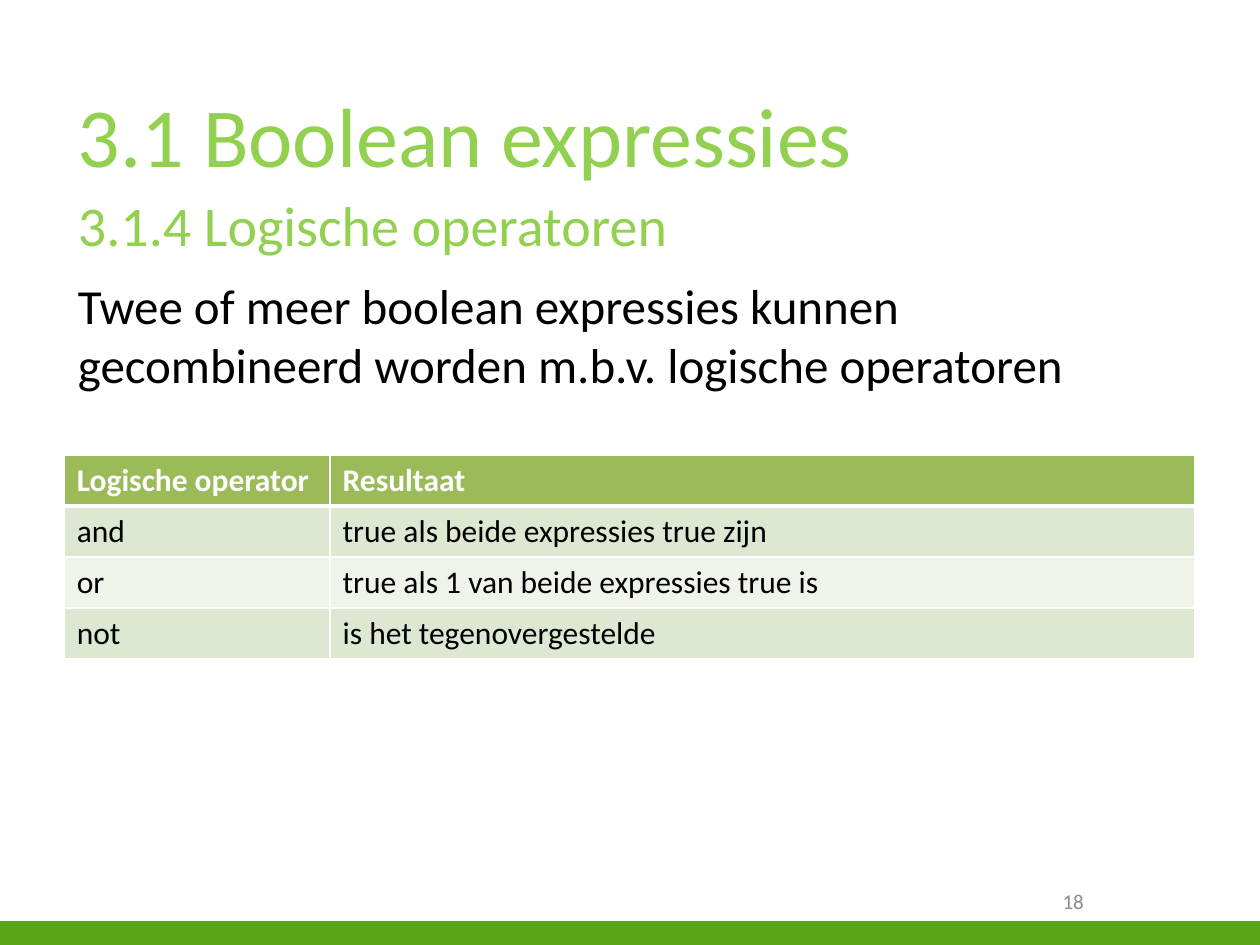
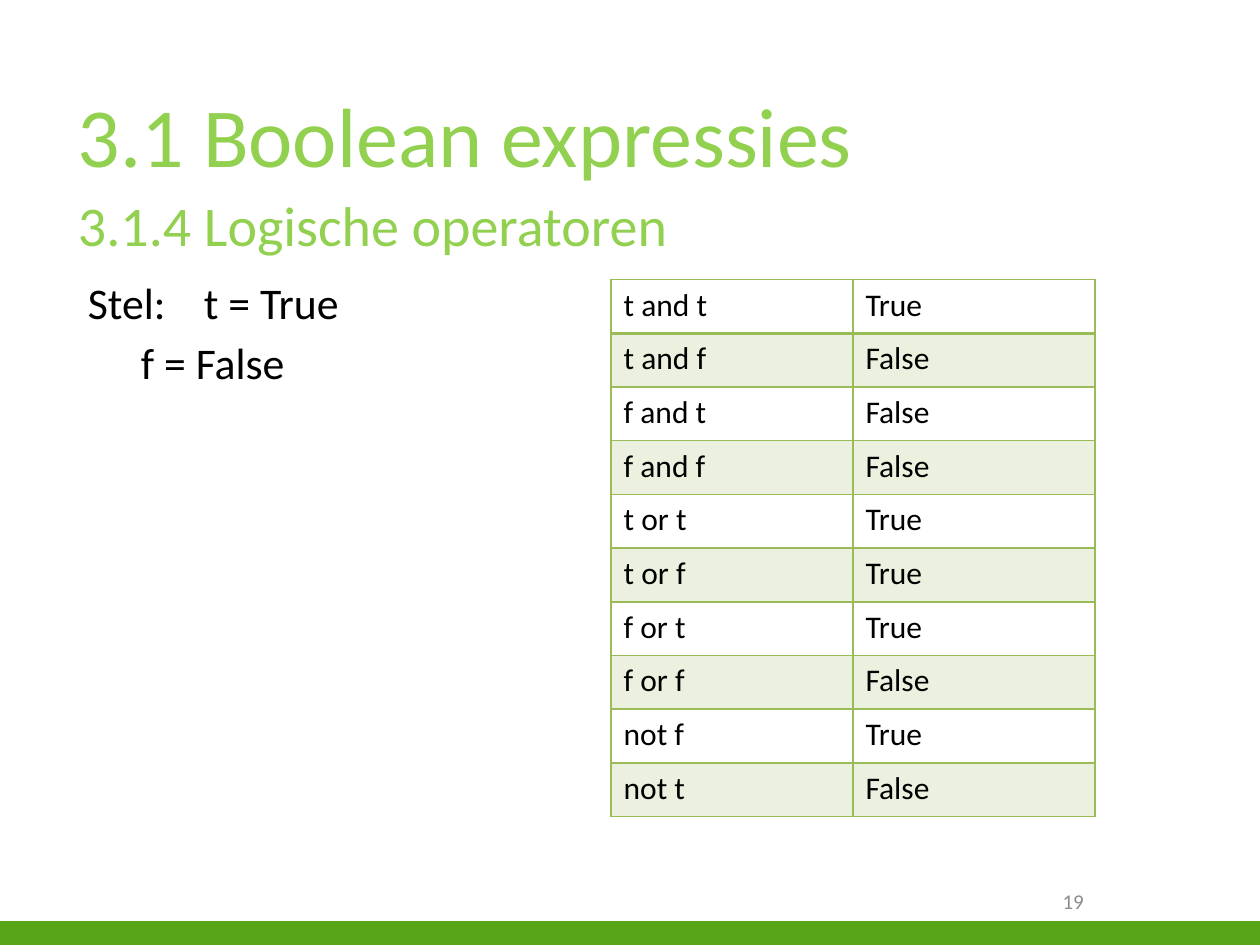
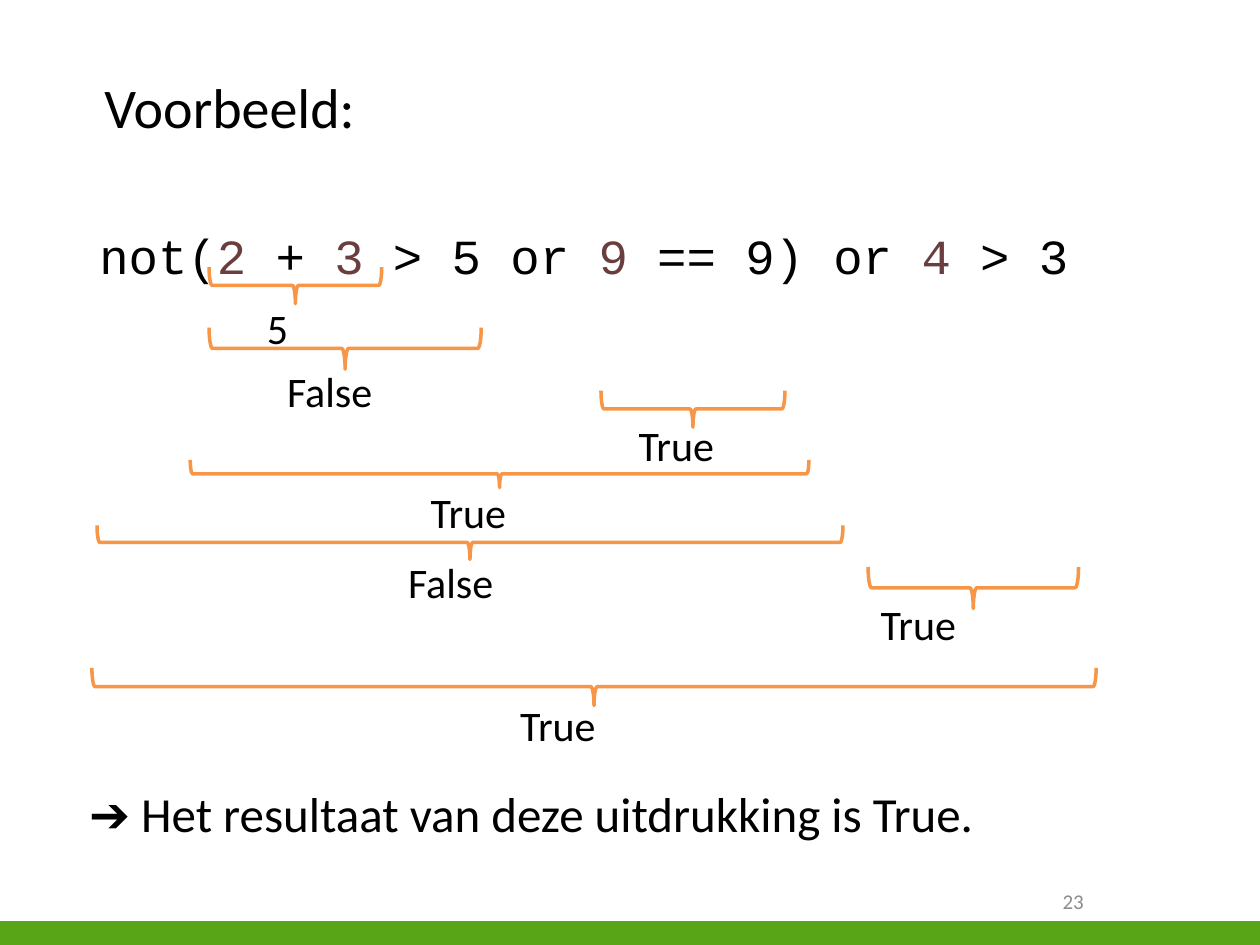
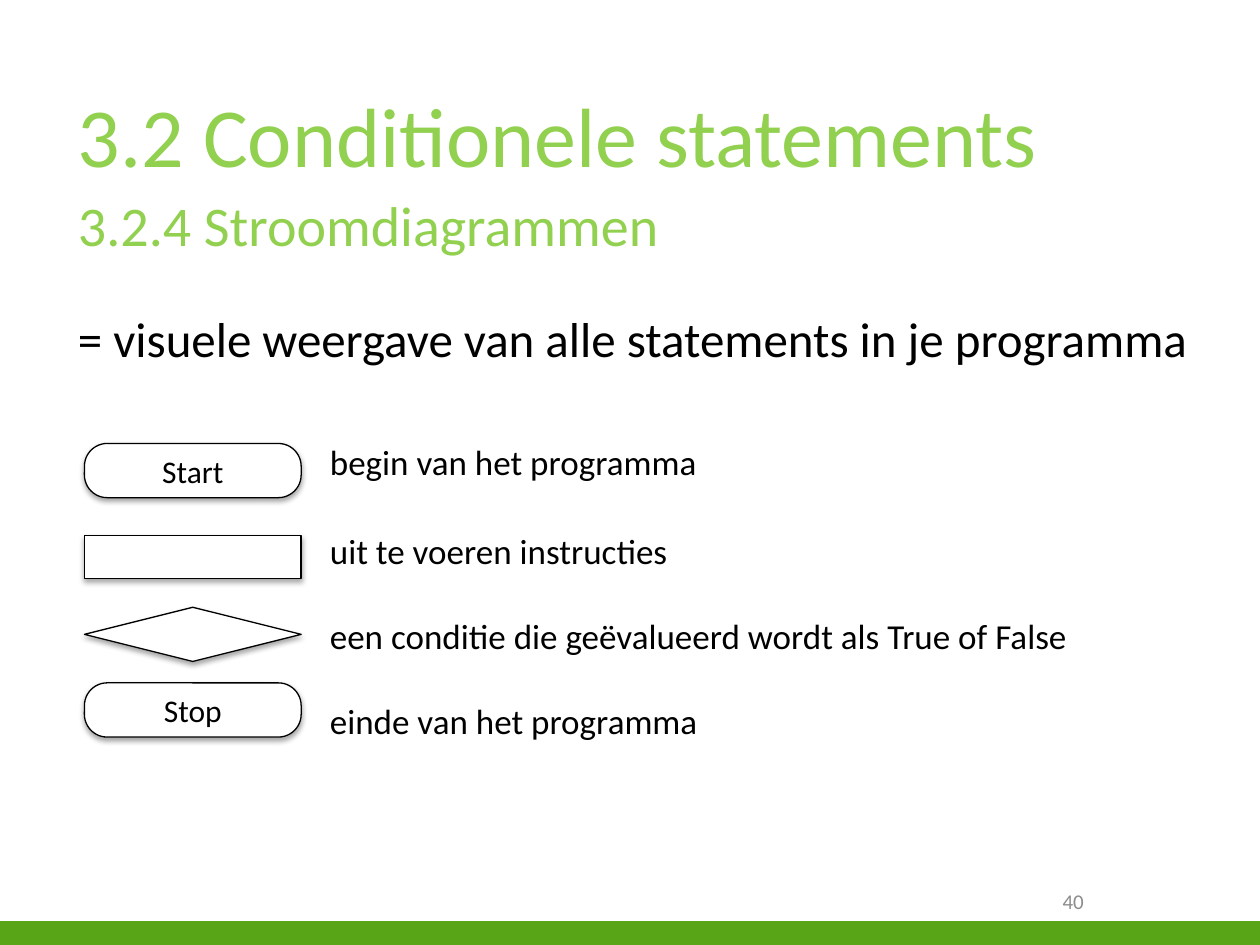
"""Builds four lesson slides on boolean expressions and flow charts."""
from dataclasses import dataclass
from typing import Optional, Sequence

from lxml import etree
from pptx import Presentation
from pptx.dml.color import RGBColor
from pptx.enum import shapes, text
from pptx.oxml import ns
from pptx.util import Inches, Pt

BLACK = RGBColor(0x00, 0x00, 0x00)
WHITE = RGBColor(0xFF, 0xFF, 0xFF)
GREY = RGBColor(0x8C, 0x8C, 0x8C)
BAND = RGBColor(0x58, 0xA6, 0x18)
TITLE = RGBColor(0x92, 0xD0, 0x50)
OLIVE = RGBColor(0x9B, 0xBB, 0x59)
OLIVE_MID = RGBColor(0xDE, 0xE7, 0xD1)
OLIVE_PALE = RGBColor(0xEF, 0xF3, 0xEA)
OLIVE_TINT = RGBColor(0xEB, 0xF1, 0xDE)
ORANGE = RGBColor(0xF7, 0x96, 0x46)
NUMBER = RGBColor(0x6A, 0x3E, 0x3E)

SHAPE = shapes.MSO_SHAPE
ALIGN = text.PP_ALIGN
ANCHOR = text.MSO_ANCHOR
PARA_GAP = 4


@dataclass(frozen=True)
class Box:
    """A place on the slide in inches."""
    x: float
    y: float
    w: float
    h: float

    def emu(self) -> tuple:
        """Return left, top, width and height as lengths."""
        return Inches(self.x), Inches(self.y), Inches(self.w), Inches(self.h)


@dataclass(frozen=True)
class Step:
    """A brace under part of the expression, with its value below."""
    brace: Box
    value: str
    label: Box


@dataclass(frozen=True)
class Symbol:
    """A flow chart symbol."""
    kind: SHAPE
    y: float
    h: float
    caption: str = ""


@dataclass(frozen=True)
class TableLook:
    """Fills and borders of a table."""
    header: Optional[RGBColor]
    bands: tuple
    line: RGBColor
    header_line: float
    header_text: RGBColor = BLACK
    header_bold: bool = False


FILLED = TableLook(OLIVE, (OLIVE_MID, OLIVE_PALE), WHITE, 3, WHITE, True)
OUTLINED = TableLook(None, (OLIVE_TINT, None), OLIVE, 2)

OPERATORS = [
    ("Logische operator", "Resultaat"),
    ("and", "true als beide expressies true zijn"),
    ("or", "true als 1 van beide expressies true is"),
    ("not", "is het tegenovergestelde"),
]
TRUTHS = [
    ("t and t", "True"), ("t and f", "False"), ("f and t", "False"), ("f and f", "False"),
    ("t or t", "True"), ("t or f", "True"), ("f or t", "True"), ("f or f", "False"),
    ("not f", "True"), ("not t", "False"),
]
EXPRESSION = ["not(", "2", " + ", "3", " > 5 or ", "9", " == 9) or ", "4", " > 3"]
STEPS = [
    Step(Box(1.66, 2.12, 1.37, 0.29), "5", Box(2.02, 2.35, 0.35, 0.5)),
    Step(Box(1.66, 2.6, 2.16, 0.33), "False", Box(2.18, 2.85, 1, 0.5)),
    Step(Box(4.77, 3.1, 1.46, 0.29), "True", Box(4.97, 3.28, 0.85, 0.5)),
    Step(Box(1.51, 3.65, 4.91, 0.22), "True", Box(3.32, 3.81, 1, 0.5)),
    Step(Box(0.77, 4.17, 5.92, 0.27), "False", Box(3.14, 4.37, 1.12, 0.5)),
    Step(Box(6.89, 4.5, 1.67, 0.33), "True", Box(6.89, 4.7, 0.85, 0.5)),
    Step(Box(0.73, 5.3, 7.97, 0.3), "True", Box(4.03, 5.5, 0.98, 0.5)),
]
SYMBOLS = [
    Symbol(SHAPE.ROUNDED_RECTANGLE, 3.52, 0.43, "Start"),
    Symbol(SHAPE.RECTANGLE, 4.25, 0.34),
    Symbol(SHAPE.DIAMOND, 4.82, 0.43),
    Symbol(SHAPE.ROUNDED_RECTANGLE, 5.42, 0.43, "Stop"),
]
MEANINGS = [
    ("begin van het programma", 42),
    ("uit te voeren instructies", 26.5),
    ("een conditie die geëvalueerd wordt als True of False", 24.5),
    ("einde van het programma", 24.5),
]


def write(p, words: str, *, size: float = 28, color: RGBColor = BLACK, font: str = "Calibri",
          bold: bool = False, align: ALIGN = ALIGN.LEFT, before: float = 0) -> None:
    """Add formatted words to a paragraph."""
    p.alignment = align
    p.space_before = Pt(before)
    r = p.add_run()
    r.text = words
    r.font.size = Pt(size)
    r.font.color.rgb = color
    r.font.name = font
    r.font.bold = bold


def add_frame(slide, box: Box, anchor: ANCHOR = ANCHOR.TOP):
    """Add an empty wrapping text box and return its frame."""
    tf = slide.shapes.add_textbox(*box.emu()).text_frame
    tf.word_wrap = True
    tf.vertical_anchor = anchor
    return tf


def add_shape(slide, kind: SHAPE, box: Box, *, fill: Optional[RGBColor] = None,
              line: Optional[RGBColor] = None, width: float = 0.75):
    """Add a flat preset shape."""
    sp = slide.shapes.add_shape(kind, *box.emu())
    sp.shadow.inherit = False
    if fill is None:
        sp.fill.background()
    else:
        sp.fill.solid()
        sp.fill.fore_color.rgb = fill
    if line is None:
        sp.line.fill.background()
    else:
        sp.line.color.rgb = line
        sp.line.width = Pt(width)
    return sp


def add_shadow(sp) -> None:
    """Give a shape a soft shadow below it."""
    effects = sp._element.spPr.find(ns.qn("a:effectLst"))
    shadow = etree.SubElement(effects, ns.qn("a:outerShdw"), blurRad=str(Pt(3.1)),
                              dist=str(Pt(1.8)), dir="5400000", rotWithShape="0")
    color = etree.SubElement(shadow, ns.qn("a:srgbClr"), val=str(BLACK))
    etree.SubElement(color, ns.qn("a:alpha"), val="35000")


def add_border(cell, color: RGBColor, top: float, bottom: float) -> None:
    """Draw the four borders of a cell."""
    tc_pr = cell._tc.get_or_add_tcPr()
    for side, width in (("L", 1), ("R", 1), ("T", top), ("B", bottom)):
        ln = etree.SubElement(tc_pr, ns.qn(f"a:ln{side}"), w=str(Pt(width)))
        fill = etree.SubElement(ln, ns.qn("a:solidFill"))
        etree.SubElement(fill, ns.qn("a:srgbClr"), val=str(color))


def add_table(slide, box: Box, widths: Sequence[float], rows: Sequence[tuple],
              look: TableLook) -> None:
    """Add a table with a header row and banded rows."""
    table = slide.shapes.add_table(len(rows), len(widths), *box.emu()).table
    table.first_row = table.horz_banding = False
    for column, width in zip(table.columns, widths):
        column.width = Inches(width)
    for i, row in enumerate(rows):
        header = i == 0
        color = look.header if header else look.bands[(i - 1) % 2]
        for j, words in enumerate(row):
            cell = table.cell(i, j)
            add_border(cell, look.line, look.header_line if i == 1 else 1,
                       look.header_line if header else 1)
            if color is None:
                cell.fill.background()
            else:
                cell.fill.solid()
                cell.fill.fore_color.rgb = color
            write(cell.text_frame.paragraphs[0], words, size=18,
                  color=look.header_text if header else BLACK,
                  bold=header and look.header_bold)


def new_slide(prs, number: int, title: str = "", subtitle: str = ""):
    """Add a slide with its band, number and headings."""
    slide = prs.slides.add_slide(prs.slide_layouts[6])
    add_shape(slide, SHAPE.RECTANGLE, Box(0, 7.31, 10, 0.19), fill=BAND)
    tf = add_frame(slide, Box(7.17, 6.95, 1.53, 0.4), ANCHOR.MIDDLE)
    write(tf.paragraphs[0], str(number), size=12, color=GREY, align=ALIGN.RIGHT)
    if title:
        tf = add_frame(slide, Box(0.52, 0.61, 8.98, 1.61))
        write(tf.paragraphs[0], title, size=48, color=TITLE, before=PARA_GAP)
        write(tf.add_paragraph(), subtitle, size=32, color=TITLE, before=PARA_GAP)
    return slide


def operators_slide(prs) -> None:
    """Explain the logical operators."""
    slide = new_slide(prs, 18, "3.1 Boolean expressies", "3.1.4 Logische operatoren")
    tf = add_frame(slide, Box(0.52, 2.14, 8.66, 0.94))
    write(tf.paragraphs[0], "Twee of meer boolean expressies kunnen gecombineerd worden "
          "m.b.v. logische operatoren", before=PARA_GAP)
    add_table(slide, Box(0.51, 3.61, 8.97, 1.62), (2.11, 6.86), OPERATORS, FILLED)


def truth_slide(prs) -> None:
    """Show the truth table."""
    slide = new_slide(prs, 19, "3.1 Boolean expressies", "3.1.4 Logische operatoren")
    tf = add_frame(slide, Box(0.52, 2.14, 3.52, 0.94))
    write(tf.paragraphs[0], " Stel:\tt = True", size=25, before=PARA_GAP)
    write(tf.add_paragraph(), "\tf = False", size=25, before=PARA_GAP)
    add_table(slide, Box(4.85, 2.22, 3.84, 4.26), (1.92, 1.92), TRUTHS, OUTLINED)


def add_step(slide, step: Step) -> None:
    """Draw a brace that points down, and its value."""
    b = step.brace
    upright = Box(b.x + (b.w - b.h) / 2, b.y + (b.h - b.w) / 2, b.h, b.w)
    sp = add_shape(slide, SHAPE.LEFT_BRACE, upright, line=ORANGE, width=2)
    sp.rotation = 270
    write(add_frame(slide, step.label).paragraphs[0], step.value, size=24)


def example_slide(prs) -> None:
    """Evaluate an expression step by step."""
    slide = new_slide(prs, 23)
    tf = add_frame(slide, Box(0.73, 0.53, 7.73, 0.8))
    write(tf.paragraphs[0], "Voorbeeld:", size=32, before=PARA_GAP)
    p = add_frame(slide, Box(0.69, 1.74, 8.98, 0.57)).paragraphs[0]
    for part in EXPRESSION:
        write(p, part, font="Courier New", color=NUMBER if part.isdigit() else BLACK)
    for step in STEPS:
        add_step(slide, step)
    tf = add_frame(slide, Box(0.61, 6.17, 7.5, 0.57))
    write(tf.paragraphs[0], "➔ Het resultaat van deze uitdrukking is True.")


def flowchart_slide(prs) -> None:
    """Explain the flow chart symbols."""
    slide = new_slide(prs, 40, "3.2 Conditionele statements", "3.2.4 Stroomdiagrammen")
    tf = add_shape(slide, SHAPE.RECTANGLE, Box(0.52, 2.4, 9.33, 3.53), fill=WHITE).text_frame
    tf.word_wrap = True
    tf.vertical_anchor = ANCHOR.MIDDLE
    write(tf.paragraphs[0], "= visuele weergave van alle statements in je programma")
    for meaning, gap in MEANINGS:
        p = tf.add_paragraph()
        write(p, meaning, size=20, before=gap)
        p._p.get_or_add_pPr().set("marL", str(Inches(2)))
    for symbol in SYMBOLS:
        sp = add_shape(slide, symbol.kind, Box(0.67, symbol.y, 1.72, symbol.h),
                       fill=WHITE, line=BLACK)
        add_shadow(sp)
        if symbol.kind == SHAPE.ROUNDED_RECTANGLE:
            sp.adjustments[0] = 0.42
        if symbol.caption:
            sp.text_frame.vertical_anchor = ANCHOR.MIDDLE
            write(sp.text_frame.paragraphs[0], symbol.caption, size=18, align=ALIGN.CENTER)


def main() -> None:
    """Build and save the presentation."""
    prs = Presentation()
    prs.slide_width, prs.slide_height = Inches(10), Inches(7.5)
    for build in (operators_slide, truth_slide, example_slide, flowchart_slide):
        build(prs)
    prs.save("out.pptx")


if __name__ == "__main__":
    main()
